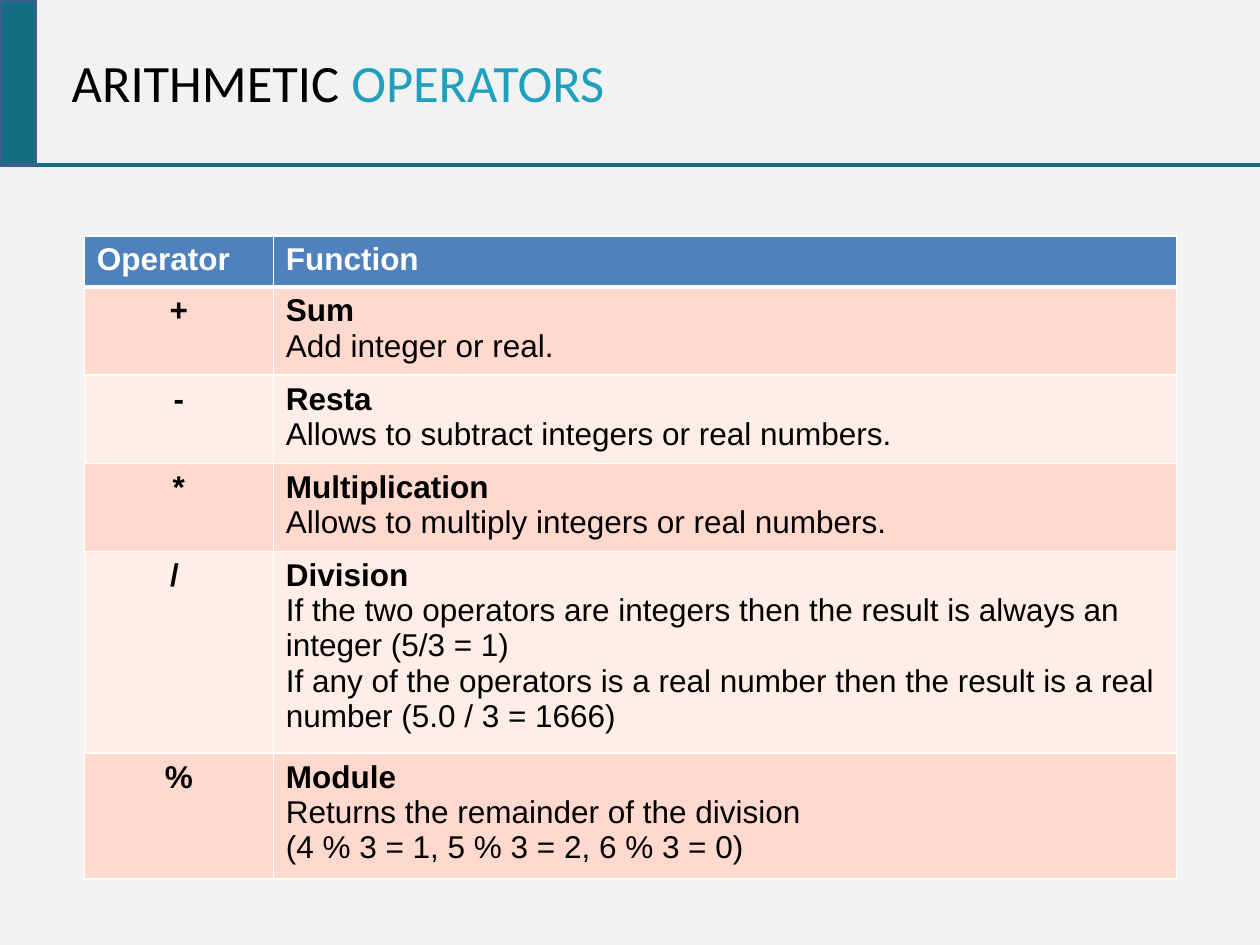
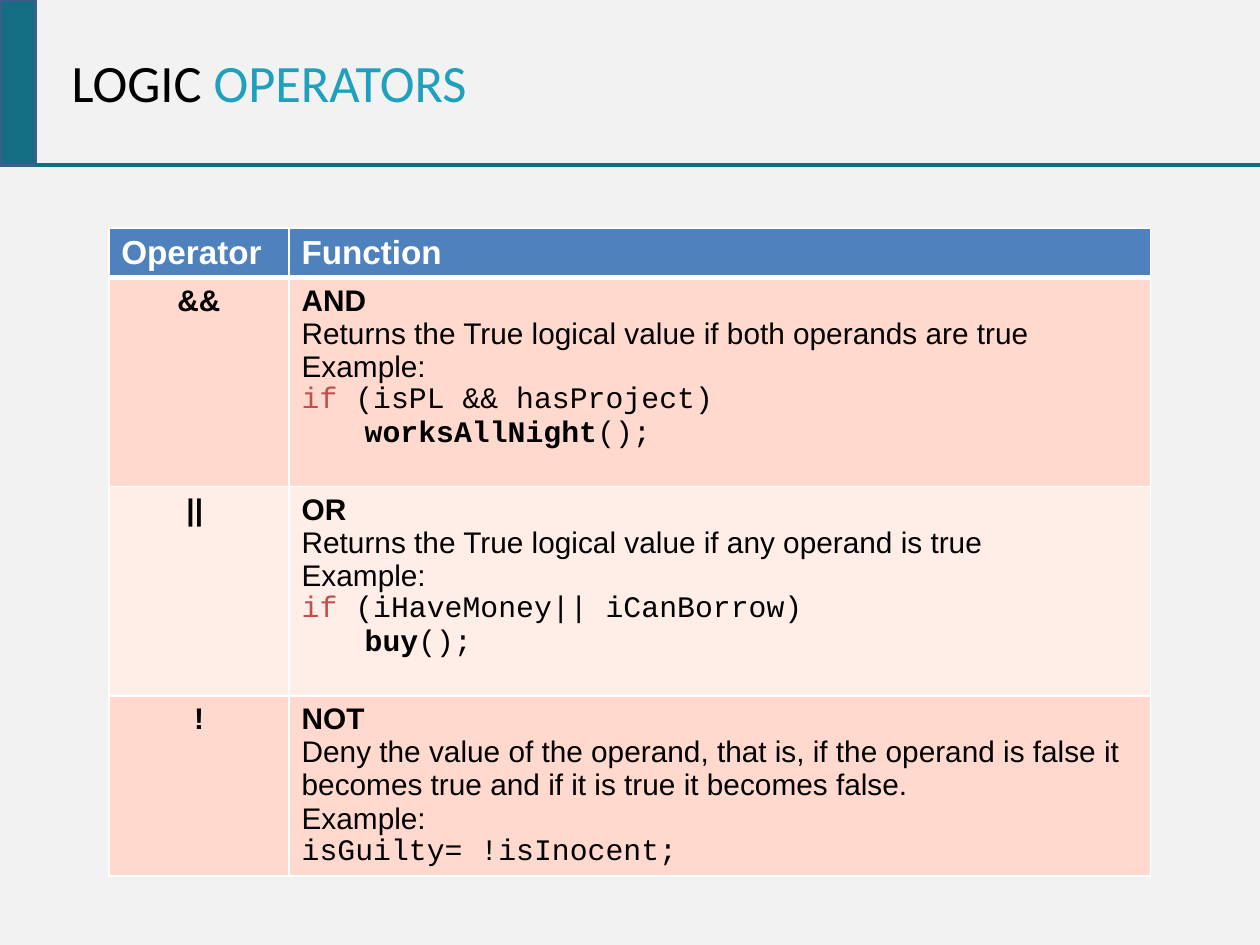
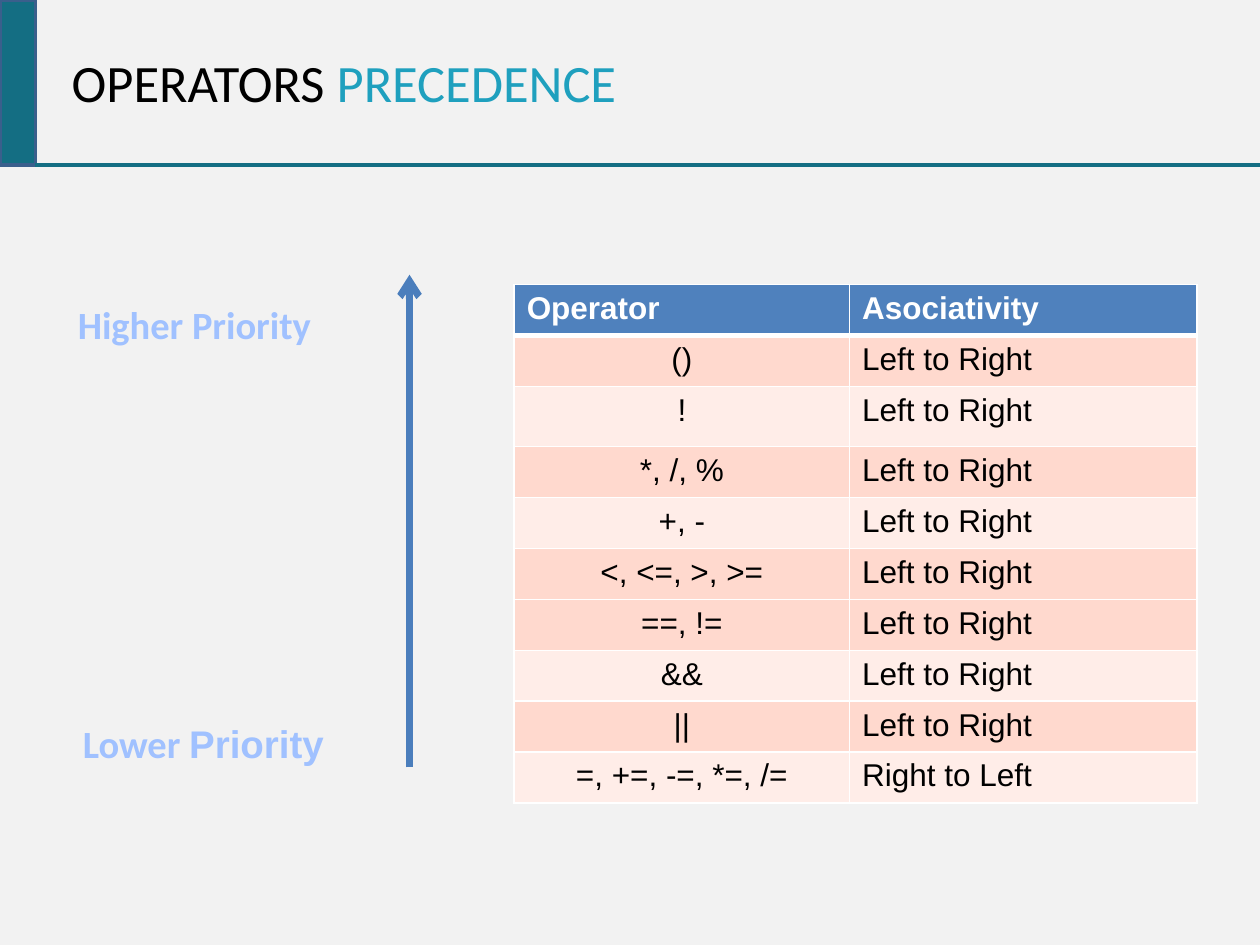
from dataclasses import dataclass
from itertools import cycle

from lxml.etree import SubElement
from pptx import Presentation
from pptx.dml.color import RGBColor
from pptx.enum.shapes import MSO_CONNECTOR as Connector, MSO_SHAPE as Shape
from pptx.enum.text import MSO_ANCHOR as Anchor, MSO_AUTO_SIZE as AutoSize, PP_ALIGN as Align
from pptx.oxml.ns import qn
from pptx.util import Pt

# Shared style
BACKGROUND = "F2F2F2"
TEAL = "146E83"
BAND_EDGE = "3A5F8C"
TITLE_ACCENT = "1FA0BE"
HEADER_FILL = "4F81BD"
DARK_ROW, LIGHT_ROW = "FFD9CE", "FFEDE8"
BLACK, WHITE = "000000", "FFFFFF"
KEYWORD = "C0504D"
ARROW = "4B7EBC"
LABEL = "A0C1FF"
HEADING_FONT, BODY_FONT, CODE_FONT = "Calibri", "Arial", "Courier New"

SLIDE_WIDTH, SLIDE_HEIGHT = 720, 540
BAND_WIDTH, BAND_HEIGHT = 20.2, 94.3


@dataclass(frozen=True)
class Run:
    text: str
    bold: bool = False
    font: str = BODY_FONT
    color: str = BLACK


@dataclass(frozen=True)
class Line:
    runs: tuple[Run, ...]
    indented: bool = False


Cell = list[Line]


@dataclass(frozen=True)
class Grid:
    left: float
    top: float
    columns: list[float]
    heights: list[float]
    header: tuple[str, str]
    rows: list[tuple[Cell, Cell]]
    header_size: float = 18
    body_size: float = 18
    fills: tuple[str, ...] = (DARK_ROW, LIGHT_ROW)


@dataclass(frozen=True)
class Label:
    left: float
    top: float
    width: float
    runs: tuple[Run, ...]


def rgb(color: str) -> RGBColor:
    return RGBColor.from_string(color)


# Text helpers
def line(text: str, bold: bool = False, font: str = BODY_FONT, color: str = BLACK) -> Line:
    return Line((Run(text, bold, font, color),))


def described(name: str, *texts: str) -> Cell:
    return [line(name, bold=True), *(line(text) for text in texts)]


def if_example(condition: str, call: str) -> Cell:
    return [
        Line((Run("if", font=CODE_FONT, color=KEYWORD), Run(f" {condition}", font=CODE_FONT))),
        Line((Run(call, True, CODE_FONT), Run("();", font=CODE_FONT)), indented=True),
    ]


def add_runs(paragraph, runs: tuple[Run, ...], size: float) -> None:
    for item in runs:
        run = paragraph.add_run()
        run.text = item.text
        run.font.name = item.font
        run.font.size = Pt(size)
        run.font.bold = item.bold
        run.font.color.rgb = rgb(item.color)


def write_lines(frame, lines: Cell, size: float, align=Align.LEFT) -> None:
    for index, item in enumerate(lines):
        paragraph = frame.add_paragraph() if index else frame.paragraphs[0]
        paragraph.alignment = align
        if item.indented:
            paragraph.level = 1
            properties = paragraph._p.get_or_add_pPr()
            properties.set("marL", str(Pt(58.3)))
            properties.set("indent", str(Pt(-22.3)))
        add_runs(paragraph, item.runs, size)


# Drawing helpers
def add_line(slide, start: tuple[float, float], end: tuple[float, float],
             color: str, width: float, arrow: bool = False) -> None:
    connector = slide.shapes.add_connector(Connector.STRAIGHT, *map(Pt, start + end))
    connector.line.color.rgb = rgb(color)
    connector.line.width = Pt(width)
    if arrow:
        SubElement(connector.line._get_or_add_ln(), qn("a:tailEnd"), type="arrow")
    SubElement(connector._element.spPr, qn("a:effectLst"))


def set_borders(cell, top: float, bottom: float) -> None:
    properties = cell._tc.get_or_add_tcPr()
    for side, width in {"L": 1, "R": 1, "T": top, "B": bottom}.items():
        border = SubElement(properties, qn(f"a:ln{side}"), w=str(Pt(width)))
        fill = SubElement(border, qn("a:solidFill"))
        SubElement(fill, qn("a:srgbClr"), val=WHITE)


def add_grid(slide, grid: Grid) -> None:
    frame = slide.shapes.add_table(
        len(grid.heights), len(grid.columns), Pt(grid.left), Pt(grid.top),
        Pt(sum(grid.columns)), Pt(sum(grid.heights)))
    table = frame.table
    table.horz_banding = False
    for column, width in zip(table.columns, grid.columns):
        column.width = Pt(width)
    for row, height in zip(table.rows, grid.heights):
        row.height = Pt(height)

    def fill_row(index: int, contents, fill: str, size: float, first_align) -> None:
        for column, lines in enumerate(contents):
            cell = table.cell(index, column)
            set_borders(cell, top=3 if index == 1 else 1, bottom=3 if index == 0 else 1)
            cell.fill.solid()
            cell.fill.fore_color.rgb = rgb(fill)
            write_lines(cell.text_frame, lines, size, Align.LEFT if column else first_align)

    header = [[line(text, bold=True, color=WHITE)] for text in grid.header]
    fill_row(0, header, HEADER_FILL, grid.header_size, Align.LEFT)
    for index, (contents, fill) in enumerate(zip(grid.rows, cycle(grid.fills)), start=1):
        fill_row(index, contents, fill, grid.body_size, Align.CENTER)


def add_label(slide, label: Label) -> None:
    box = slide.shapes.add_textbox(Pt(label.left), Pt(label.top), Pt(label.width), Pt(33.8))
    box.text_frame.word_wrap = True
    add_runs(box.text_frame.paragraphs[0], label.runs, 22)


def add_titled_slide(presentation, lead: str, accent: str):
    slide = presentation.slides.add_slide(presentation.slide_layouts[5])
    slide.background.fill.solid()
    slide.background.fill.fore_color.rgb = rgb(BACKGROUND)

    # Title
    title = slide.shapes.title
    title.left, title.top, title.width, title.height = map(Pt, (33.8, 0, 586.8, 93.6))
    frame = title.text_frame
    frame.auto_size = AutoSize.NONE
    frame.vertical_anchor = Anchor.MIDDLE
    frame.paragraphs[0].alignment = Align.LEFT
    add_runs(frame.paragraphs[0], (
        Run(f"{lead} ", font=HEADING_FONT),
        Run(accent, font=HEADING_FONT, color=TITLE_ACCENT)), 30)

    # Side band and rule
    band = slide.shapes.add_shape(Shape.RECTANGLE, 0, 0, Pt(BAND_WIDTH), Pt(BAND_HEIGHT))
    band.shadow.inherit = False
    band.fill.solid()
    band.fill.fore_color.rgb = rgb(TEAL)
    band.line.color.rgb = rgb(BAND_EDGE)
    band.line.width = Pt(2)
    add_line(slide, (BAND_WIDTH, BAND_HEIGHT), (SLIDE_WIDTH, BAND_HEIGHT), TEAL, 1.75)
    return slide


# Slide contents
ARITHMETIC = Grid(
    left=48.2, top=134.8, columns=[108, 516],
    heights=[29.2, 50.4, 50.4, 50.4, 115.2, 72],
    header=("Operator", "Function"),
    rows=[([line(symbol, bold=True)], function) for symbol, function in (
        ("+", described("Sum", "Add integer or real.")),
        ("-", described("Resta", "Allows to subtract integers or real numbers.")),
        ("*", described("Multiplication", "Allows to multiply integers or real numbers.")),
        ("/ ", described(
            "Division",
            "If the two operators are integers then the result is always an integer (5/3 = 1)",
            "If any of the operators is a real number then the result is a real number "
            "(5.0 / 3 = 1666)")),
        ("%", described(
            "Module",
            "Returns the remainder of the division",
            "(4 % 3 = 1, 5 % 3 = 2, 6 % 3 = 0)")),
    )])

LOGIC = Grid(
    left=62.2, top=130.3, columns=[103, 492.4],
    heights=[27.6, 119.5, 119.5, 100.8],
    header=("Operator", "Function"), header_size=19, body_size=17,
    rows=[([line(symbol, bold=True)], function + example) for symbol, function, example in (
        ("&&",
         described("AND", "Returns the True logical value if both operands are true", "Example:"),
         if_example("(isPL && hasProject)", "worksAllNight")),
        ("|| ",
         described("OR", "Returns the True logical value if any operand is true", "Example:"),
         if_example("(iHaveMoney|| iCanBorrow)", "buy")),
        ("!",
         described("NOT", "Deny the value of the operand, that is, if the operand is false it "
                   "becomes true and if it is true it becomes false.", "Example:"),
         [line("isGuilty= !isInocent;", font=CODE_FONT)]),
    )])

LEFT_TO_RIGHT = ("()", "!", "*, /, %", "+, -", "<, <=, >, >=", "==, !=", "&&", "||")
ASSOCIATIVITY = [(symbols, "Left to Right") for symbols in LEFT_TO_RIGHT]
ASSOCIATIVITY.append(("=, +=, -=, *=, /=", "Right to Left"))

PRECEDENCE = Grid(
    left=293.8, top=162.7, columns=[191.7, 198.5],
    heights=[29.1, 29.1, 34.4] + [29.1] * 7,
    header=("Operator", "Asociativity"),
    rows=[([line(symbols)], [line(direction)]) for symbols, direction in ASSOCIATIVITY],
    fills=(DARK_ROW, LIGHT_ROW) * 2 + (DARK_ROW,))

PRIORITY_LABELS = (
    Label(37.4, 168.5, 169.2, (Run("Higher Priority", True, HEADING_FONT, LABEL),)),
    Label(40.3, 408.2, 164.2, (Run("Lower ", True, HEADING_FONT, LABEL),
                               Run("Priority", True, BODY_FONT, LABEL))),
)


def main() -> None:
    presentation = Presentation()
    presentation.slide_width, presentation.slide_height = Pt(SLIDE_WIDTH), Pt(SLIDE_HEIGHT)

    for lead, accent, grid in (
        ("ARITHMETIC", "OPERATORS", ARITHMETIC),
        ("LOGIC", "OPERATORS", LOGIC),
        ("OPERATORS", "PRECEDENCE", PRECEDENCE),
    ):
        slide = add_titled_slide(presentation, lead, accent)
        add_grid(slide, grid)

    # Priority scale beside the precedence table
    add_line(slide, (234, 438.5), (234, 157), ARROW, 4, arrow=True)
    for label in PRIORITY_LABELS:
        add_label(slide, label)

    presentation.save("out.pptx")


if __name__ == "__main__":
    main()
